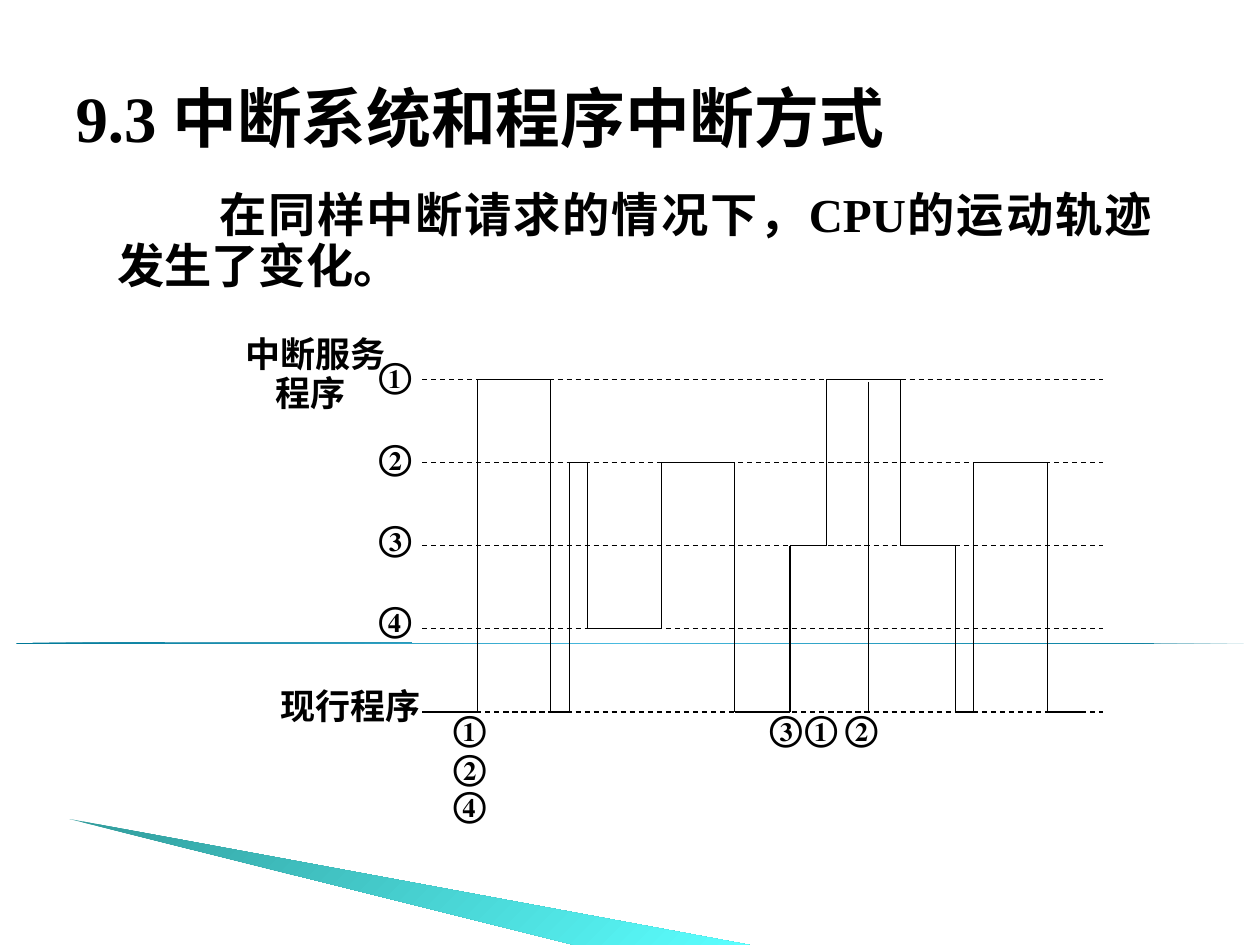
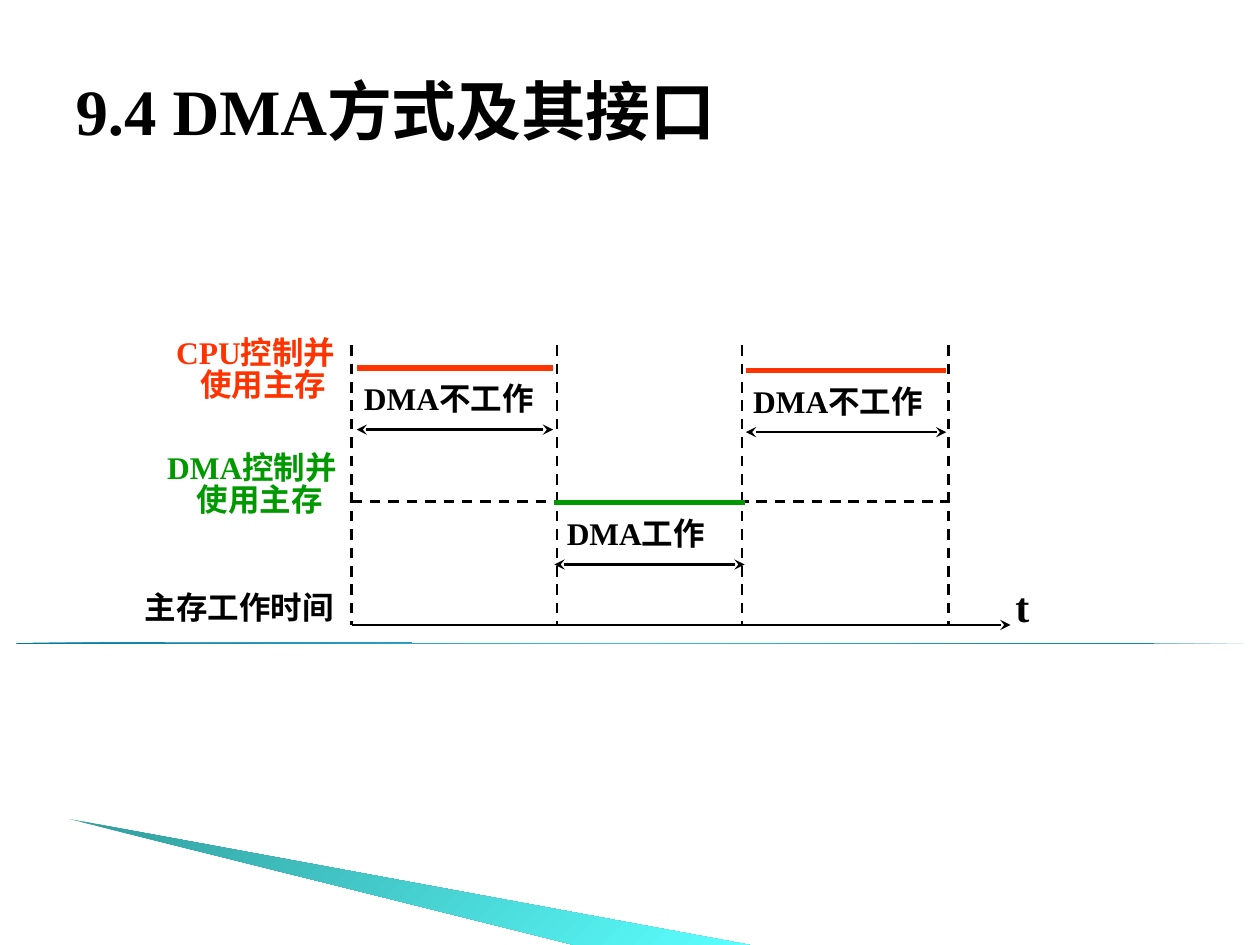
from lxml import etree
from pptx import Presentation
from pptx.dml.color import RGBColor
from pptx.enum.dml import MSO_LINE
from pptx.enum.shapes import MSO_CONNECTOR, MSO_SHAPE
from pptx.enum.text import MSO_ANCHOR, MSO_AUTO_SIZE, PP_ALIGN
from pptx.oxml.ns import qn
from pptx.util import Inches, Pt

DASH = MSO_LINE.DASH
STRAIGHT = MSO_CONNECTOR.STRAIGHT
TRIANGLE = MSO_SHAPE.RIGHT_TRIANGLE
MIDDLE, TOP = MSO_ANCHOR.MIDDLE, MSO_ANCHOR.TOP
NO_FIT = MSO_AUTO_SIZE.NONE
LEFT, CENTER, JUSTIFY = PP_ALIGN.LEFT, PP_ALIGN.CENTER, PP_ALIGN.JUSTIFY

LATIN, CJK = "Times New Roman", "Noto Sans CJK SC"
COLORS = {"ink": "000000", "cpu": "FF3300", "dma": "009900"}
RULE_STOPS = [(0, "007897"), (50, "4ABBE0"), (100, "007897")]
WEDGE_STOPS = [(0, "319C9C"), (100, "5BFFFF")]
WEDGE = [(0.55, 6.5), (5.95, 7.5), (4.56, 7.5)]

INTERRUPT_TITLE = "9.3 中断系统和程序中断方式"
INTERRUPT_BODY = "在同样中断请求的情况下，CPU的运动轨迹发生了变化。"
WAVE_LEFT, WAVE_TOP, WAVE_COLUMN, WAVE_ROW = 3.35, 3.01, 5.4 / 37, 0.66
WAVE_COLUMNS, WAVE_LEVELS, WAVE_END = 37, 5, 36
WAVE_STEPS = [(0, 4), (3, 0), (7, 4), (8, 1), (9, 3), (13, 1), (17, 4),
              (20, 2), (22, 0), (26, 2), (29, 4), (30, 1), (34, 4)]
LEVEL_NAMES = "①②③④"
REQUESTS = [("①", 3.5, 5.56), ("②", 3.5, 5.87), ("④", 3.5, 6.16),
            ("③", 6.01, 5.56), ("①", 6.29, 5.56), ("②", 6.61, 5.56)]

DMA_TITLE = "9.4 DMA方式及其接口"
TIMES = [2.79, 4.42, 5.89, 7.53]
TIME_TOP, TIME_AXIS, TIME_END, DMA_LEVEL = 2.74, 4.96, 8.02, 3.98
PERIODS = [("DMA不工作", "cpu", 2.83, 4.39, 2.92, 2.79),
           ("DMA不工作", "cpu", 5.92, 7.51, 2.94, 5.88),
           ("DMA工作", "dma", 4.4, 5.91, 3.99, 4.4)]
OWNERS = [(["CPU控制并", "使用主存"], "cpu", 1.05, 2.59),
          (["DMA控制并", "使用主存"], "dma", 1.02, 3.51)]


def style_runs(p, size, color="ink"):
    for r in p.runs:
        r.font.size = Pt(size)
        r.font.bold = True
        r.font.color.rgb = RGBColor.from_string(COLORS[color])
        r.font.name = LATIN
        etree.SubElement(r.font._element, qn("a:ea"), typeface=CJK)


def place(sp, left, top, width, height):
    sp.left, sp.top = Inches(left), Inches(top)
    sp.width, sp.height = Inches(width), Inches(height)


def set_indent(p, margin, first=0):
    pPr = p._p.get_or_add_pPr()
    pPr.set("marL", str(Inches(margin)))
    pPr.set("indent", str(Inches(first)))
    return pPr


def fill_gradient(sp, stops, angle):
    sp.shadow.inherit = False
    sp.line.fill.background()
    sp.fill.gradient()
    sp.fill.gradient_angle = 360 - angle
    gs_list = sp.element.spPr.find(qn("a:gradFill")).find(qn("a:gsLst"))
    for gs in list(gs_list):
        gs_list.remove(gs)
    for position, color in stops:
        gs = etree.SubElement(gs_list, qn("a:gs"), pos=str(position * 1000))
        etree.SubElement(gs, qn("a:srgbClr"), val=color)


def decorate_master(prs, s):
    rule = s.shapes.add_shape(TRIANGLE, Inches(0.13), Inches(5.1),
                              Inches(9.74), Inches(0.01))
    fill_gradient(rule, RULE_STOPS, 50)
    points = [(Inches(x), Inches(y)) for x, y in WEDGE]
    builder = s.shapes.build_freeform(*points[0])
    builder.add_line_segments(points[1:], close=True)
    wedge = builder.convert_to_shape()
    fill_gradient(wedge, WEDGE_STOPS, 45)
    for sp in (rule, wedge):
        prs.slide_master.element.cSld.spTree.append(sp.element)


def add_title(s, text, align=LEFT, spacing=1.0):
    sp = s.shapes.title
    place(sp, 0.5, 0.3, 9, 1.25)
    tf = sp.text_frame
    tf.text = text
    tf.auto_size, tf.vertical_anchor = NO_FIT, MIDDLE
    p = tf.paragraphs[0]
    p.alignment, p.line_spacing = align, spacing
    style_runs(p, 37)


def add_body(s, text):
    sp = s.placeholders[1]
    place(sp, 0.43, 1.47, 8.81, 5.63)
    tf = sp.text_frame
    tf.text = text
    tf.auto_size, tf.vertical_anchor = NO_FIT, TOP
    p = tf.paragraphs[0]
    etree.SubElement(set_indent(p, 0.4, 0.81), qn("a:buNone"))
    p.alignment, p.line_spacing, p.space_before = JUSTIFY, 0.9, Pt(0)
    style_runs(p, 27)


def add_label(s, lines, left, top, width, size=20, color="ink", align=LEFT,
              spacing=0.3, indent=0):
    height = 0.1 + size * 0.017 * len(lines)
    sp = s.shapes.add_textbox(Inches(left), Inches(top), Inches(width),
                              Inches(height))
    tf = sp.text_frame
    tf.word_wrap = True
    tf.text = "\n".join(lines)
    for i, p in enumerate(tf.paragraphs):
        p.alignment = align
        if i:
            set_indent(p, indent)
            p.line_spacing = spacing
            p.space_before = Pt(size * 0.625)
        style_runs(p, size, color)


def add_line(s, start, end, width, color="ink", dash=None, arrows=()):
    c = s.shapes.add_connector(STRAIGHT, *map(Inches, start + end))
    c.line.width = Pt(width)
    c.line.color.rgb = RGBColor.from_string(COLORS[color])
    if dash:
        c.line.dash_style = dash
    ln = c.line._get_or_add_ln()
    for arrow in arrows:
        etree.SubElement(ln, qn("a:" + arrow), type="stealth")
    etree.SubElement(c.element.spPr, qn("a:effectLst"))


def draw_interrupts(s):
    add_title(s, INTERRUPT_TITLE)
    add_body(s, INTERRUPT_BODY)

    def at(column, level):
        return (WAVE_LEFT + column * WAVE_COLUMN, WAVE_TOP + level * WAVE_ROW)

    for level in range(WAVE_LEVELS):
        add_line(s, at(0, level), at(WAVE_COLUMNS, level), 0.75, dash=DASH)
    ends = [column for column, _ in WAVE_STEPS[1:]] + [WAVE_END]
    points = []
    for (column, level), end in zip(WAVE_STEPS, ends):
        points += [at(column, level), at(end, level)]
    for start, end in zip(points, points[1:]):
        add_line(s, start, end, 0.75)
    add_line(s, (6.89, 3.03), (6.89, 5.65), 0.5)

    add_label(s, ["中断服务", "程序"], 1.85, 2.59, 1.53, indent=0.24)
    add_label(s, ["现行程序"], 2.13, 5.38, 1.53)
    for i, name in enumerate(LEVEL_NAMES):
        add_label(s, [name], 2.91, 2.76 + 0.645 * i, 1.46)
    for name, left, top in REQUESTS:
        add_label(s, [name], left, top, 1.46)


def draw_dma(s):
    add_title(s, DMA_TITLE, JUSTIFY, 0.8)
    for x in TIMES:
        add_line(s, (x, TIME_TOP), (x, TIME_AXIS), 1.5, dash=DASH)
    add_line(s, (TIMES[0], DMA_LEVEL), (TIMES[-1], DMA_LEVEL), 1.5, dash=DASH)
    add_line(s, (TIMES[0], TIME_AXIS), (TIME_END, TIME_AXIS), 1.5,
             arrows=["tailEnd"])
    for text, color, start, end, y, text_left in PERIODS:
        add_line(s, (start, y), (end, y), 3, color)
        add_line(s, (start, y + 0.49), (end, y + 0.49), 1.5,
                 arrows=["headEnd", "tailEnd"])
        add_label(s, [text], text_left, y + 0.04, 1.9, 18)
    for lines, color, left, top in OWNERS:
        add_label(s, lines, left, top, 1.96, 18, color, CENTER, 0.2, 0.12)
    add_label(s, ["主存工作时间"], 0.84, 4.62, 2.12, 18, align=CENTER)
    add_label(s, ["t"], 7.96, 4.56, 1.04, 24)


def main():
    prs = Presentation()
    prs.slide_width, prs.slide_height = Inches(10), Inches(7.5)
    interrupts = prs.slides.add_slide(prs.slide_layouts[1])
    decorate_master(prs, interrupts)
    draw_interrupts(interrupts)
    draw_dma(prs.slides.add_slide(prs.slide_layouts[5]))
    prs.save("out.pptx")


if __name__ == "__main__":
    main()
